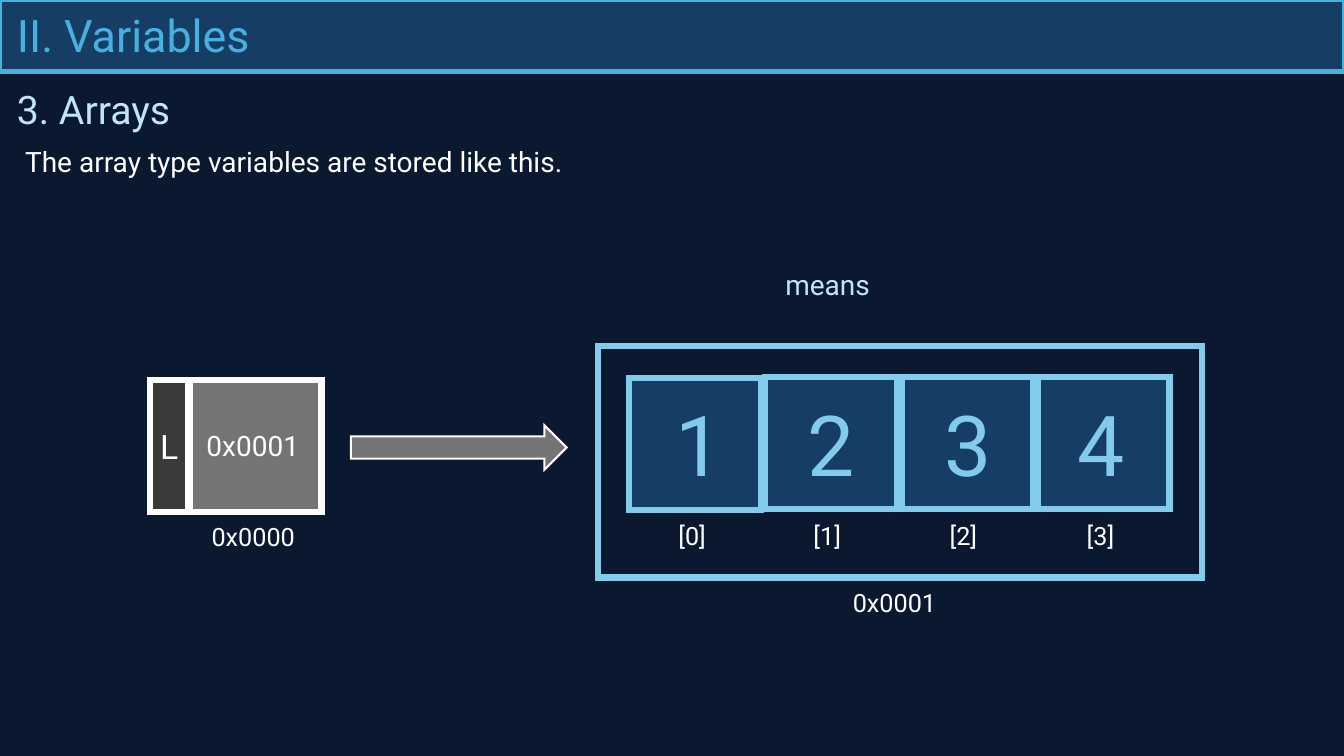
"""Build the slide that shows how an array variable is stored."""
from lxml import etree
from pptx import Presentation
from pptx.dml.color import RGBColor
from pptx.enum.shapes import MSO_SHAPE
from pptx.enum.text import MSO_AUTO_SIZE, PP_ALIGN
from pptx.oxml.ns import qn
from pptx.util import Inches, Pt

RECTANGLE = MSO_SHAPE.RECTANGLE
RIGHT_ARROW = MSO_SHAPE.RIGHT_ARROW
LEFT = PP_ALIGN.LEFT
FIT_SHAPE = MSO_AUTO_SIZE.SHAPE_TO_FIT_TEXT

FONT = "Roboto"
BACKGROUND = "0A1930"
NAVY = "163E64"
BLUE = "46B1E1"
SKY = "83CBEB"
PALE = "C1E5F5"
WHITE = "FFFFFF"
GRAY = "747474"
DARK_GRAY = "3A3A3A"

CELL_SIZE = 1.31
CELL_PITCH = 1.35
CELLS_LEFT = 6.24

# Value, cell top, then left and width of the value and of the index.
CELLS = [
    ("1", 3.75, 6.6, 0.58, 6.63, 0.54),
    ("2", 3.74, 7.91, 0.7, 7.97, 0.5),
    ("3", 3.74, 9.27, 0.67, 9.32, 0.54),
    ("4", 3.74, 10.59, 0.73, 10.68, 0.53),
]


def color(value):
    """Return the colour for a hex string."""
    return RGBColor.from_string(value)


def add_box(page, kind, left, top, width, height, fill, line, weight):
    """Add a shape with a sharp-cornered outline, unfilled if fill is None."""
    box = page.shapes.add_shape(
        kind, Inches(left), Inches(top), Inches(width), Inches(height))
    box.shadow.inherit = False
    if fill is None:
        box.fill.background()
    else:
        box.fill.solid()
        box.fill.fore_color.rgb = color(fill)
    box.line.color.rgb = color(line)
    box.line.width = Pt(weight)
    outline = box.element.spPr.find(qn("a:ln"))
    etree.SubElement(outline, qn("a:miter"), lim="800000")


def add_label(page, text, left, top, width, height, size, ink=WHITE,
              wrap=False):
    """Add a text box holding one line of text."""
    box = page.shapes.add_textbox(
        Inches(left), Inches(top), Inches(width), Inches(height))
    frame = box.text_frame
    frame.text = text
    frame.word_wrap = wrap
    frame.auto_size = FIT_SHAPE
    para = frame.paragraphs[0]
    para.alignment = LEFT
    span = para.runs[0]
    span.font.name = FONT
    span.font.size = Pt(size)
    span.font.color.rgb = color(ink)


def add_headings(page):
    """Add the title bar, the section heading and the sentence."""
    add_box(page, RECTANGLE, 0, 0, 13.33, 0.71, NAVY, BLUE, 3)
    add_label(page, "II. Variables", 0.07, 0.03, 2.72, 0.64, 32, BLUE)
    add_label(page, "3. Arrays", 0.07, 0.8, 5.04, 0.57, 28, PALE, True)
    add_label(page, "The array type variables are stored like this.",
              0.15, 1.38, 6.08, 0.44, 20)


def add_array(page):
    """Add the array cells with their frame, address and caption."""
    for index, cell in enumerate(CELLS):
        value, top, value_left, value_width, index_left, index_width = cell
        add_box(page, RECTANGLE, CELLS_LEFT + index * CELL_PITCH, top,
                CELL_SIZE, CELL_SIZE, NAVY, SKY, 4.5)
        add_label(page, value, value_left, 3.84, value_width, 1.11, 60, SKY)
        add_label(page, f"[{index}]", index_left, 5.11, index_width, 0.4, 18)
    add_box(page, RECTANGLE, 5.93, 3.43, 5.99, 2.3, None, SKY, 4.5)
    add_label(page, "0x0001", 8.36, 5.78, 1.08, 0.4, 18)
    add_label(page, "means", 7.69, 2.6, 1.08, 0.44, 20, PALE)


def add_reference(page):
    """Add the variable that holds the address, and its arrow."""
    add_box(page, RECTANGLE, 1.88, 3.77, CELL_SIZE, CELL_SIZE,
            GRAY, WHITE, 4.5)
    add_label(page, "0x0001", 1.95, 4.2, 1.17, 0.44, 20)
    add_label(page, "0x0000", 2, 5.12, 1.12, 0.4, 18)
    add_box(page, RECTANGLE, 1.49, 3.77, 0.38, CELL_SIZE,
            DARK_GRAY, WHITE, 4.5)
    add_label(page, "L", 1.49, 4.18, 0.37, 0.5, 24)
    add_box(page, RIGHT_ARROW, 3.48, 4.22, 2.14, 0.44, GRAY, WHITE, 1.5)


def main():
    """Build and save the deck."""
    deck = Presentation()
    deck.slide_width = Inches(13.33)
    deck.slide_height = Inches(7.5)
    page = deck.slides.add_slide(deck.slide_layouts[6])
    page.background.fill.solid()
    page.background.fill.fore_color.rgb = color(BACKGROUND)
    add_headings(page)
    add_array(page)
    add_reference(page)
    deck.save("out.pptx")


if __name__ == "__main__":
    main()
